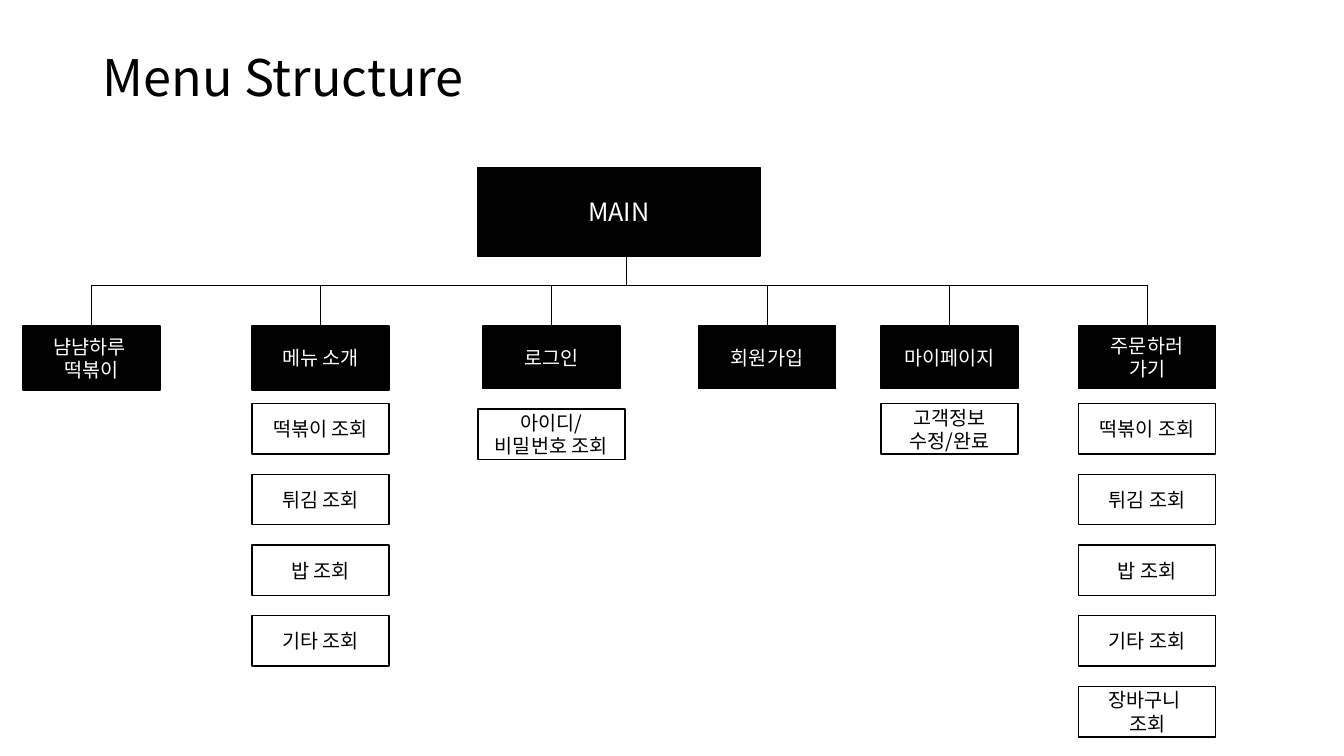
from lxml.etree import SubElement
from pptx import Presentation
from pptx.dml.color import RGBColor
from pptx.enum.shapes import MSO_CONNECTOR, MSO_SHAPE
from pptx.enum.text import MSO_ANCHOR, PP_ALIGN
from pptx.oxml.ns import qn
from pptx.util import Inches, Pt

COLORS = {"ink": "000000", "paper": "FFFFFF"}
FONT = "Noto Sans CJK KR"
FOODS = ["떡볶이 조회", "튀김 조회", "밥 조회", "기타 조회"]
MENU_W, ITEM_H, ITEM_PITCH = 10.2, 6.67, 9.35
BUS_Y, MENU_Y, ITEM_Y = 37.75, 43.1, 53.4

MENUS = [
    (1.72, 8.5, "냠냠하루 \n떡볶이", []),
    (18.75, 8.5, "메뉴 소개", FOODS),
    (35.93, 8.3, "로그인", ["아이디/\n비밀번호 조회"]),
    (51.98, 8.3, "회원가입", []),
    (65.55, 8.3, "마이페이지", ["고객정보\n수정/완료"]),
    (80.25, 8.3, "주문하러\n가기", FOODS + ["장바구니 \n조회"]),
]
ITEM_TWEAKS = {"로그인": (10.95, 54.1)}


class MenuSlide:
    """Draws styled elements on one slide, with lengths in percent of its size."""

    def __init__(self, prs):
        self.prs = prs
        self.s = prs.slides.add_slide(prs.slide_layouts[6])

    def x(self, share):
        return round(self.prs.slide_width * share / 100)

    def y(self, share):
        return round(self.prs.slide_height * share / 100)

    def area(self, left, top, width, height):
        return self.x(left), self.y(top), self.x(width), self.y(height)

    def color(self, name):
        return RGBColor.from_string(COLORS[name])

    def label(self, sp, text, size, color, align):
        tf = sp.text_frame
        tf.word_wrap = True
        tf.vertical_anchor = MSO_ANCHOR.MIDDLE
        tf.text = text
        for p in tf.paragraphs:
            p.alignment = align
            for r in p.runs:
                r.font.size = Pt(size)
                r.font.color.rgb = self.color(color)
                r.font.name = FONT
                SubElement(r.font._element, qn("a:ea"), typeface=FONT)

    def title(self, text, *area):
        sp = self.s.shapes.add_textbox(*self.area(*area))
        self.label(sp, text, 36, "ink", PP_ALIGN.LEFT)
        sp.text_frame.paragraphs[0].line_spacing = 0.9

    def box(self, text, *area, size=14, fill="ink", color="paper"):
        sp = self.s.shapes.add_shape(MSO_SHAPE.RECTANGLE, *self.area(*area))
        sp.shadow.inherit = False
        sp.fill.solid()
        sp.fill.fore_color.rgb = self.color(fill)
        sp.line.color.rgb = self.color("ink")
        sp.line.width = Pt(1)
        self.label(sp, text, size, color, PP_ALIGN.CENTER)
        return sp

    def line(self, x1, y1, x2, y2, target=None):
        ends = self.x(x1), self.y(y1), self.x(x2), self.y(y2)
        c = self.s.shapes.add_connector(MSO_CONNECTOR.STRAIGHT, *ends)
        c.line.color.rgb = self.color("ink")
        c.line.width = Pt(0.5)
        SubElement(c._element.spPr, qn("a:effectLst"))
        if target is not None:
            c.end_connect(target, 0)

    def menu(self, left, height, name, items):
        center = left + MENU_W / 2
        head = self.box(name, left, MENU_Y, MENU_W, height)
        self.line(center, BUS_Y, center, MENU_Y, head)
        width, top = ITEM_TWEAKS.get(name, (MENU_W, ITEM_Y))
        for i, item in enumerate(items):
            self.box(item, center - width / 2, top + i * ITEM_PITCH, width, ITEM_H,
                     fill="paper", color="ink")
        return center


def main():
    prs = Presentation()
    prs.slide_width, prs.slide_height = Inches(13.33), Inches(7.5)
    slide = MenuSlide(prs)
    slide.title("Menu Structure", 6.9, 5.33, 86.25, 10.67)
    slide.box("MAIN", 35.55, 22.13, 21, 11.73, size=18)
    slide.line(46.58, 33.86, 46.58, BUS_Y)
    centers = [slide.menu(*menu) for menu in MENUS]
    slide.line(centers[0], BUS_Y, centers[-1], BUS_Y)
    prs.save("out.pptx")


if __name__ == "__main__":
    main()
